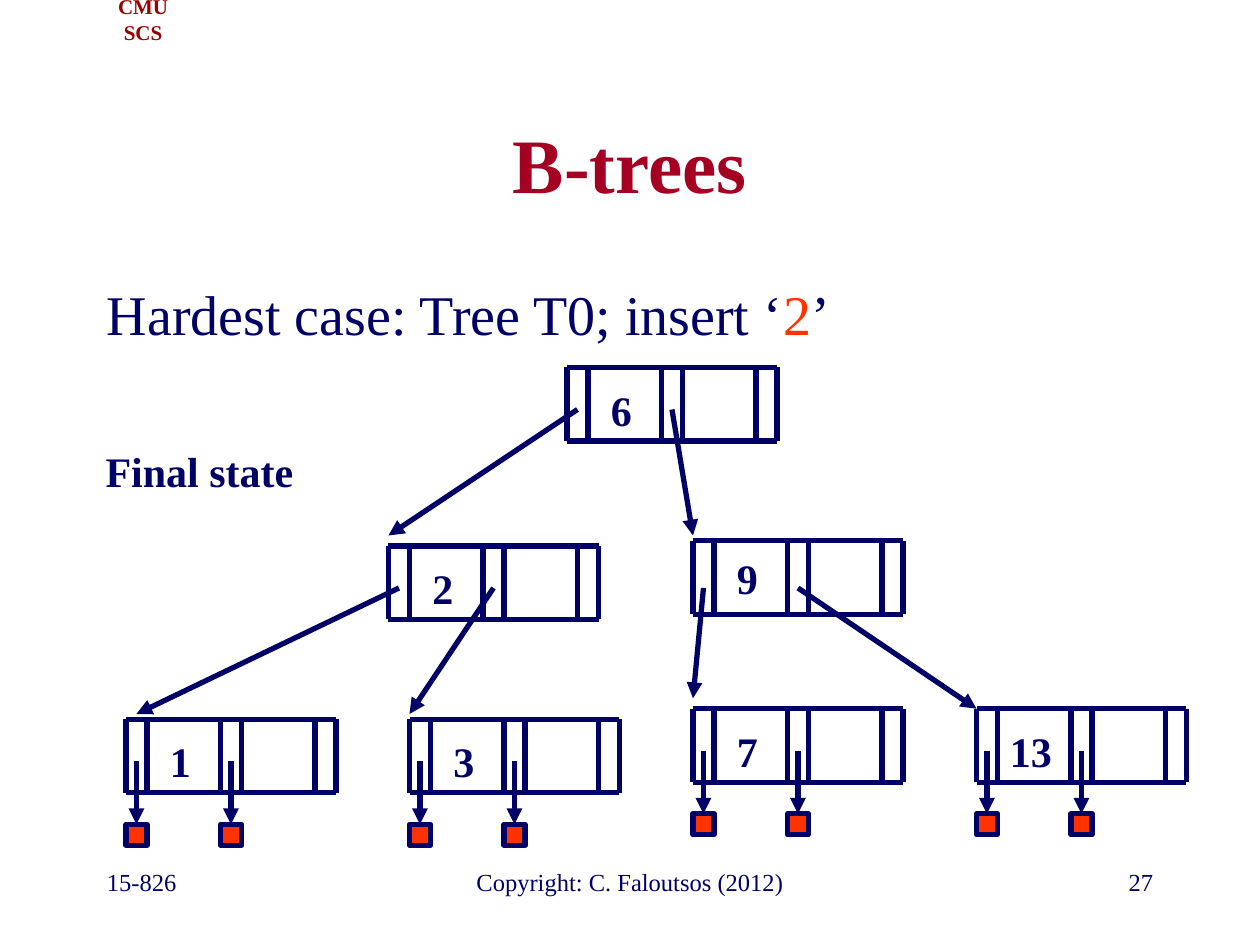
from lxml.etree import SubElement
from pptx import Presentation
from pptx.dml.color import RGBColor
from pptx.enum.shapes import MSO_CONNECTOR, MSO_SHAPE
from pptx.enum.text import MSO_ANCHOR, PP_ALIGN
from pptx.oxml.ns import qn
from pptx.util import Pt

PX = 9525  # EMU per px, 96 px to the inch
NAVY = RGBColor(0x00, 0x00, 0x66)
CRIMSON = RGBColor(0xA5, 0x00, 0x21)
MAROON = RGBColor(0x99, 0x00, 0x00)
ORANGE = RGBColor(0xFF, 0x33, 0x00)
FONT = "Times New Roman"

# B-tree node geometry
NODE_W, NODE_H = 160, 56
POINTER_W, KEY_W = 16, 56
STEP = POINTER_W + KEY_W
RECORD_DROP = 80


def add_text(s, box, runs, size, bold=False, align=PP_ALIGN.LEFT,
             anchor=MSO_ANCHOR.TOP, wrap=True):
    tf = s.shapes.add_textbox(*(v * PX for v in box)).text_frame
    tf.word_wrap = wrap
    tf.vertical_anchor = anchor
    p = tf.paragraphs[0]
    p.alignment = align
    for text, color in runs:
        r = p.add_run()
        r.text = text
        r.font.name = FONT
        r.font.size = Pt(size)
        r.font.bold = bold
        r.font.color.rgb = color


def add_line(s, x1, y1, x2, y2, arrow=False):
    c = s.shapes.add_connector(MSO_CONNECTOR.STRAIGHT,
                               x1 * PX, y1 * PX, x2 * PX, y2 * PX)
    c.line.color.rgb = NAVY
    c.line.width = Pt(3)
    if arrow:
        SubElement(c.line._get_or_add_ln(), qn("a:tailEnd"), type="triangle")
    SubElement(c._element.spPr, qn("a:effectLst"))
    return c


def add_node(s, x, y, key, key_dy=8):
    # Each pointer slot has a wall on either side
    for slot in range(3):
        for wall in (0, POINTER_W):
            wx = x + slot * STEP + wall
            add_line(s, wx, y, wx, y + NODE_H)
    for edge in (y, y + NODE_H):
        add_line(s, x, edge, x + NODE_W, edge)
    add_text(s, (x + 16, y + key_dy, 51, 48), [(key, NAVY)], 24, bold=True,
             align=PP_ALIGN.CENTER, wrap=False)


def add_pointers(s, x, y, targets, dy=32):
    for slot, (tx, ty) in enumerate(targets):
        add_line(s, x + slot * STEP + 8, y + dy, tx, ty, arrow=True)


def add_leaf(s, x, y, key):
    add_node(s, x, y, key)
    # Data records below the first two pointers
    for slot in range(2):
        rx, ry = x + slot * STEP, y + RECORD_DROP
        sp = s.shapes.add_shape(MSO_SHAPE.RECTANGLE, rx * PX, ry * PX,
                                POINTER_W * PX, POINTER_W * PX)
        sp.shadow.inherit = False
        sp.fill.solid()
        sp.fill.fore_color.rgb = ORANGE
        sp.line.color.rgb = NAVY
        sp.line.width = Pt(3)
        c = add_line(s, rx + 8, y + 32, rx + 8, ry, arrow=True)
        c.end_connect(sp, 0)


def add_header(s, x, y):
    add_text(s, (x, y, 90, 29), [("CMU SCS", MAROON)], 12, bold=True,
             align=PP_ALIGN.CENTER, anchor=MSO_ANCHOR.MIDDLE, wrap=False)


def add_heading(s, x, y, w):
    add_text(s, (x, y, w, 120), [("B-trees", CRIMSON)], 44, bold=True,
             align=PP_ALIGN.CENTER, anchor=MSO_ANCHOR.MIDDLE)
    add_text(s, (x, y + 144, w, 64),
             [("Hardest case: Tree T0; insert ‘", NAVY), ("2", ORANGE),
              ("’", NAVY)], 32)


def add_tree(s, x, y):
    # Root and inner nodes
    add_node(s, x + 336, y, "6")
    add_pointers(s, x + 336, y, [(x + 200, y + 128), (x + 432, y + 128)])
    add_node(s, x + 200, y + 136, "2")
    add_pointers(s, x + 200, y + 136, [(x + 8, y + 264), (x + 216, y + 264)])
    add_node(s, x + 432, y + 132, "9", key_dy=4)
    add_pointers(s, x + 432, y + 132,
                 [(x + 432, y + 252), (x + 648, y + 260)], dy=36)
    # Leaves, evenly spaced; the right pair sits slightly higher
    for i, key in enumerate(("1", "3", "7", "13")):
        add_leaf(s, x + i * 216, y + (268 if i < 2 else 260), key)


def add_footer(s, x, y, w):
    add_text(s, (x, y, 200, 48), [("15-826", NAVY)], 14)
    add_text(s, (x + (w - 304) // 2, y, 304, 48),
             [("Copyright: C. Faloutsos (2012)", NAVY)], 14,
             align=PP_ALIGN.CENTER)
    add_text(s, (x + w - 200, y, 200, 48), [("27", NAVY)], 14,
             align=PP_ALIGN.RIGHT)


def main():
    prs = Presentation()
    prs.slide_width, prs.slide_height = 960 * PX, 720 * PX
    s = prs.slides.add_slide(prs.slide_layouts[6])
    add_header(s, 64, 0)
    add_heading(s, 72, 64, 816)
    add_tree(s, 96, 280)
    add_text(s, (64, 335, 176, 48), [("Final state", NAVY)], 24, bold=True,
             align=PP_ALIGN.CENTER)
    add_footer(s, 72, 656, 816)
    prs.save("out.pptx")


if __name__ == "__main__":
    main()
